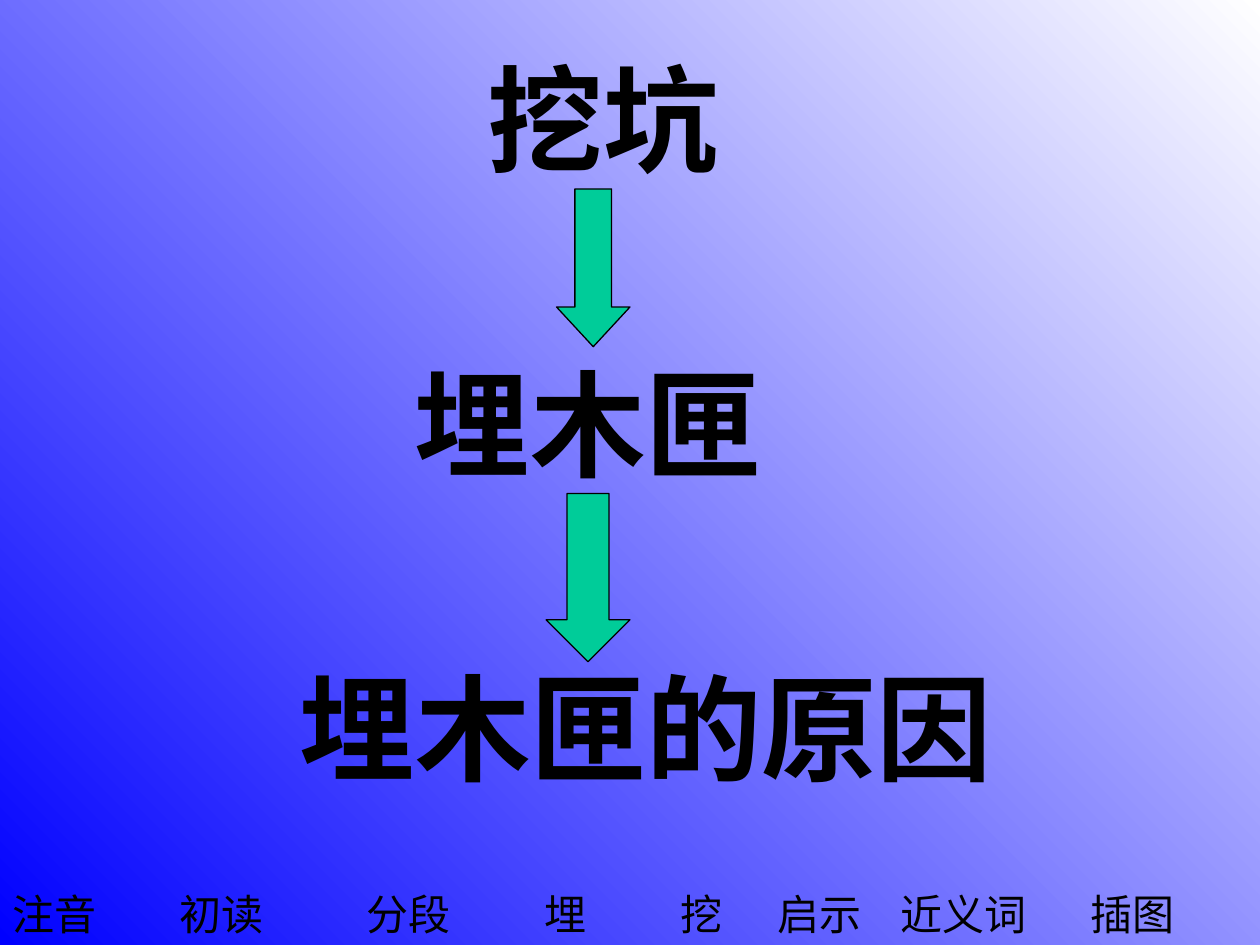
from pptx import Presentation
from pptx.dml.color import RGBColor
from pptx.enum.shapes import MSO_SHAPE as Shape
from pptx.enum.text import MSO_AUTO_SIZE as Auto, PP_ALIGN as Align
from pptx.oxml.xmlchemy import OxmlElement as Element
from pptx.util import Cm, Pt

STEPS = [
    ("挖坑", 1.9, 0.85, 20.53),
    ("埋木匣", 2.33, 6.99, 19.05),
    ("埋木匣的原因", 4.45, 13.12, 17.15),
]
ARROWS = [
    (11.22, 3.81, 1.48, 3.18, 0.54),
    (11.01, 9.95, 1.69, 3.39, 0.5),
]
MENU = ["注音", "初读", "分段", "埋", "挖", "启示", "近义词", "插图"]
STOPS = [3.36, 7.14, 10.72, 13.47, 15.42, 17.9, 21.74]


def color(code):
    return RGBColor.from_string(code)


class Board:
    font = "Times New Roman"
    ink = "000000"
    green = "00CC99"

    def __init__(self, deck):
        self.slide = deck.slides.add_slide(deck.slide_layouts[6])

    def backdrop(self, start, end):
        fill = self.slide.background.fill
        fill.gradient()
        fill.gradient_angle = 225
        for stop, code in zip(fill.gradient_stops, (start, end)):
            stop.color.rgb = color(code)

    def text(self, words, left, top, width, height,
             size=24, bold=False, align=Align.LEFT, stops=()):
        box = self.slide.shapes.add_textbox(
            Cm(left), Cm(top), Cm(width), Cm(height))
        frame = box.text_frame
        frame.word_wrap = True
        frame.auto_size = Auto.SHAPE_TO_FIT_TEXT
        para = frame.paragraphs[0]
        para.alignment = align
        if stops:
            self.tabs(para, stops)
        run = para.add_run()
        run.text = words
        run.font.name = self.font
        run.font.size = Pt(size)
        run.font.bold = bold
        run.font.color.rgb = color(self.ink)

    def tabs(self, para, stops):
        tabs = Element("a:tabLst")
        for stop in stops:
            tab = Element("a:tab")
            tab.set("pos", str(Cm(stop)))
            tab.set("algn", "l")
            tabs.append(tab)
        para._p.get_or_add_pPr().append(tabs)

    def arrow(self, left, top, width, height, head):
        """Draw a down arrow; head is its head length over its width."""
        arrow = self.slide.shapes.add_shape(
            Shape.DOWN_ARROW, Cm(left), Cm(top), Cm(width), Cm(height))
        arrow.adjustments[0] = 0.5
        arrow.adjustments[1] = head
        arrow.shadow.inherit = False
        arrow.fill.solid()
        arrow.fill.fore_color.rgb = color(self.green)
        arrow.line.color.rgb = color(self.ink)
        arrow.line.width = Pt(0.75)


def main():
    deck = Presentation()
    deck.slide_width, deck.slide_height = Cm(25.4), Cm(19.05)
    board = Board(deck)
    board.backdrop("FFFFFF", "0000FF")
    for words, left, top, width in STEPS:
        board.text(words, left, top, width, 3.05,
                   size=66, bold=True, align=Align.CENTER)
    for place in ARROWS:
        board.arrow(*place)
    board.text("\t".join(MENU), 0, 17.78, 25.4, 1.27, stops=STOPS)
    deck.save("out.pptx")


if __name__ == "__main__":
    main()
